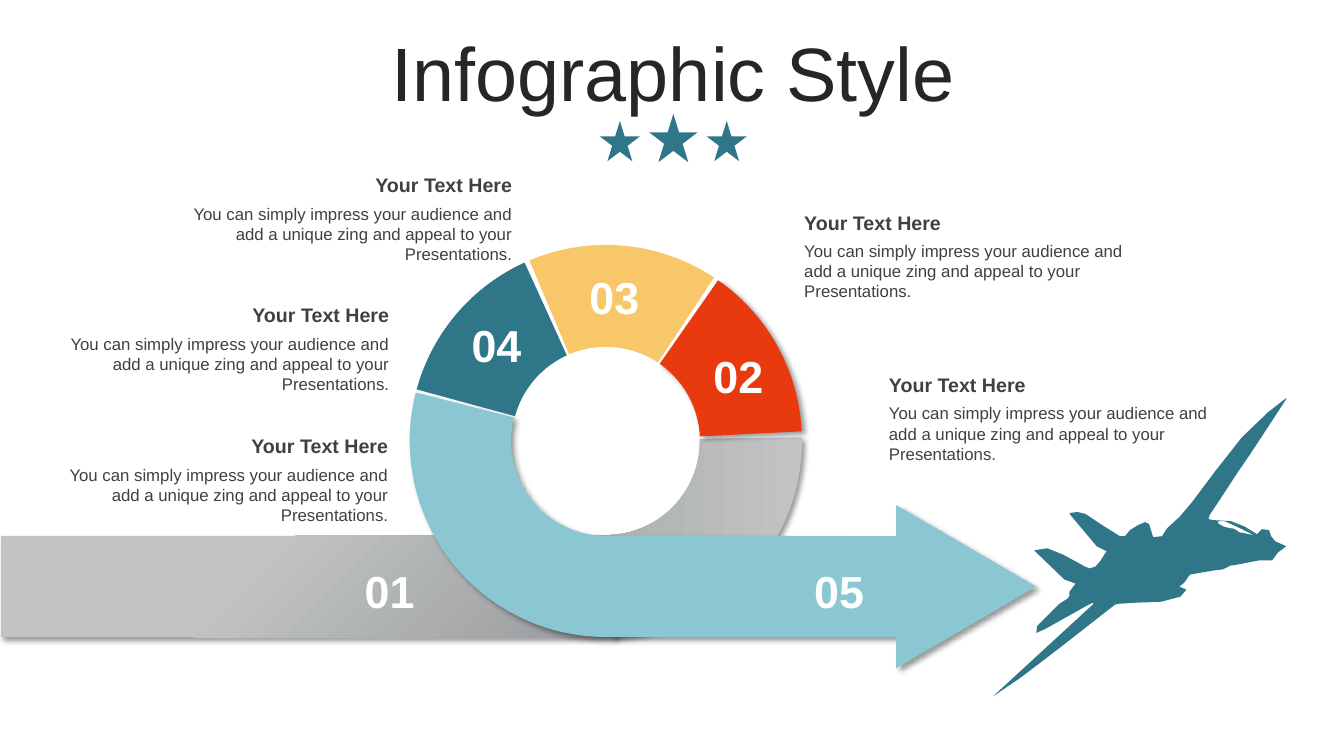
from dataclasses import dataclass
from math import cos, radians, sin

from lxml import etree
from pptx import Presentation
from pptx.dml.color import RGBColor
from pptx.enum.shapes import MSO_SHAPE
from pptx.enum.text import MSO_ANCHOR, PP_ALIGN
from pptx.oxml.ns import qn
from pptx.util import Inches, Pt

STAR, BLOCK_ARC, RECTANGLE = MSO_SHAPE.STAR_5_POINT, MSO_SHAPE.BLOCK_ARC, MSO_SHAPE.RECTANGLE
LEFT, CENTER, RIGHT = PP_ALIGN.LEFT, PP_ALIGN.CENTER, PP_ALIGN.RIGHT
TOP, MIDDLE = MSO_ANCHOR.TOP, MSO_ANCHOR.MIDDLE

COLUMNS, ROWS = 133.33, 75
CELL = Inches(0.1)
FONT = "Arial"
TEAL, YELLOW, RED, SKY = "307689", "F7C76A", "E93A0F", "8AC7D3"
LIGHT_GRAY, DARK_GRAY = "C1C3C4", "999C9E"
WHITE, TITLE_INK, BODY_INK = "FFFFFF", "262626", "404040"
HEADING = "Your Text Here"
BODY = "You can simply impress your audience and add a unique zing and appeal to your Presentations."
CALLOUT_WIDTH = 34.8
RING_X, RING_Y, RING_OUTER, RING_INNER = 60.1, 43.75, 19.45, 9.4
ARROW_ARC = 104.3
ARC_STEPS = 60

Point = tuple[float, float]
Frame = tuple[float, float, float, float]


@dataclass
class Star:
    left: float
    top: float
    size: float


@dataclass
class RingSegment:
    turn: float
    start: float
    end: float
    thickness: float
    fill: str
    shadow: bool


@dataclass
class Callout:
    edge: float
    top: float
    align: PP_ALIGN


@dataclass
class StepNumber:
    text: str
    left: float
    top: float


STARS = [Star(64.4, 11.3, 4.8), Star(70.1, 12, 4), Star(59.5, 12, 4)]
SEGMENTS = [
    RingSegment(15, 108.15, 138.31, 0.26, TEAL, False),
    RingSegment(67, 108.04, 141.9, 0.26, YELLOW, False),
    RingSegment(126, 107.35, 138.7, 0.26, RED, True),
]
RING_TAIL = RingSegment(180, 107.35, 160.74, 0.26, LIGHT_GRAY, True)
CALLOUTS = [
    Callout(51.8, 16.7, RIGHT),
    Callout(39.6, 29.6, RIGHT),
    Callout(39.5, 42.6, RIGHT),
    Callout(87.2, 36.5, LEFT),
    Callout(78.8, 20.4, LEFT),
]
NUMBERS = [
    StepNumber("01", 33.1, 55.4),
    StepNumber("02", 67.7, 34.1),
    StepNumber("03", 55.4, 26.3),
    StepNumber("04", 43.7, 31),
    StepNumber("05", 77.7, 55.4),
]
ARROW_HEAD = [(88.9, 53.2), (88.9, 50.1), (102.8, 58.2), (88.9, 66.3), (88.9, 63.2)]
CANOPY = [
    (121.5, 51.7), (123, 52.4), (124.4, 53.1), (123.9, 53), (122.9, 52.8), (122.8, 52.7),
    (122.4, 52.45), (122, 52.4), (121.4, 52.25), (120.8, 51.9), (120.9, 51.7),
]
JET = [
    (127.6, 39.5), (125.8, 40.9), (123.2, 43.4), (120.6, 46.7), (118.2, 49.9), (117, 51.3),
    (115.8, 52.4), (115.4, 53), (115.3, 53.2), (114.4, 53.3), (114, 52), (113.6, 51.8),
    (112.9, 52.1), (112.1, 52.6), (111.6, 53.2), (111.1, 53.2), (109.5, 52.2), (107.7, 51),
    (106.9, 50.8), (106.1, 50.9), (106.2, 51.1), (108.8, 54.2), (109.6, 54.6), (109.8, 54.7),
    (109.7, 54.8), (109.2, 55.6), (108.7, 56.2), (108.1, 56.4), (107.6, 56.2), (106.7, 55.7),
    (105.4, 55), (103.9, 54.4), (102.6, 54.6), (103, 55), (105.6, 57.5), (106.7, 57.9),
    (106.4, 58.3), (106.1, 58.7), (106.1, 59.1), (105.9, 59.4), (105.1, 59.9), (102.9, 62.1),
    (102.8, 62.8), (103.7, 62.4), (107.8, 60.1), (108.4, 59.8), (108.5, 59.9), (98.5, 69.1),
    (101.3, 67.2), (105.1, 64.3), (110.6, 60), (111, 59.9), (112.7, 59.8), (115.2, 59.7),
    (117.1, 59.2), (117.7, 58.5), (117, 58.2), (117.5, 57.8), (117.9, 57.2), (118.1, 57),
    (120.4, 56.6), (121.3, 56.5), (122.1, 56.1), (122.3, 56.1), (124.9, 55.6), (126.2, 55.6),
    (126.8, 54.8), (127.6, 54.2), (126.5, 53.7), (126.1, 53.2), (125.9, 52.6), (125.2, 52.5),
    (124.7, 53), (123.5, 52.25), (122.1, 51.7), (120.3, 51.6), (119.9, 51.5), (120, 51.1),
    (121, 49.6), (122.7, 47), (124, 45.1), (126.1, 41.9), (127.6, 39.6),
]


def grid(cells: float) -> int:
    return round(cells * CELL)


def color(value: str) -> RGBColor:
    return RGBColor.from_string(value)


def add_shadow(shape) -> None:
    effects = shape.element.spPr.find(qn("a:effectLst"))
    outer = etree.SubElement(effects, qn("a:outerShdw"), blurRad=str(Pt(4)),
                             dist=str(Pt(3)), dir="2700000", algn="tl", rotWithShape="0")
    ink = etree.SubElement(outer, qn("a:srgbClr"), val="000000")
    etree.SubElement(ink, qn("a:alpha"), val="40000")


def finish(shape, fill: str, shadow: bool = False) -> None:
    shape.fill.solid()
    shape.fill.fore_color.rgb = color(fill)
    shape.line.fill.background()
    shape.shadow.inherit = False
    if shadow:
        add_shadow(shape)


def shade(shape, angle: float, start: float) -> None:
    shape.fill.gradient()
    shape.fill.gradient_angle = angle
    stops = zip(shape.fill.gradient_stops, (LIGHT_GRAY, DARK_GRAY), (start, 1))
    for stop, tone, position in stops:
        stop.color.rgb = color(tone)
        stop.position = position


def add_preset(page, kind: MSO_SHAPE, frame: Frame, fill: str, turn: float = 0, shadow: bool = False):
    shape = page.shapes.add_shape(kind, *map(grid, frame))
    shape.rotation = turn
    finish(shape, fill, shadow)
    return shape


def add_segment(page, segment: RingSegment):
    size = 2 * RING_OUTER
    frame = (RING_X - RING_OUTER, RING_Y - RING_OUTER, size, size)
    shape = add_preset(page, BLOCK_ARC, frame, segment.fill, segment.turn, segment.shadow)
    for index, value in enumerate((segment.start, segment.end, segment.thickness)):
        shape.adjustments[index] = value
    return shape


def add_outline(page, contours: list[list[Point]], fill: str, shadow: bool = False) -> None:
    paths = [[(grid(x), grid(y)) for x, y in contour] for contour in contours]
    builder = page.shapes.build_freeform(*paths[0][0], scale=1.0)
    builder.add_line_segments(paths[0][1:], close=True)
    for points in paths[1:]:
        builder.move_to(*points[0])
        builder.add_line_segments(points[1:], close=True)
    finish(builder.convert_to_shape(), fill, shadow)


def ring_arc(radius: float) -> list[Point]:
    angles = [radians(90 + ARROW_ARC * step / ARC_STEPS) for step in range(ARC_STEPS + 1)]
    return [(RING_X + radius * cos(angle), RING_Y + radius * sin(angle)) for angle in angles]


def add_text(page, text: str, frame: Frame, *, size: float, ink: str, bold: bool = False,
             align: PP_ALIGN = LEFT, anchor: MSO_ANCHOR = TOP, spacing: float = 1.0) -> None:
    box = page.shapes.add_textbox(*map(grid, frame))
    box.text_frame.word_wrap = True
    box.text_frame.vertical_anchor = anchor
    para = box.text_frame.paragraphs[0]
    para.alignment = align
    para.line_spacing = spacing
    span = para.add_run()
    span.text = text
    span.font.name = FONT
    span.font.size = Pt(size)
    span.font.bold = bold
    span.font.color.rgb = color(ink)


def add_callout(page, callout: Callout) -> None:
    left = callout.edge - CALLOUT_WIDTH if callout.align == RIGHT else callout.edge
    add_text(page, BODY, (left, callout.top + 3, CALLOUT_WIDTH, 7.1),
             size=12, ink=BODY_INK, align=callout.align)
    add_text(page, HEADING, (left, callout.top, CALLOUT_WIDTH, 3.4),
             size=14, ink=BODY_INK, bold=True, align=callout.align)


def main() -> None:
    deck = Presentation()
    deck.slide_width, deck.slide_height = grid(COLUMNS), grid(ROWS)
    page = deck.slides.add_slide(deck.slide_layouts[6])
    for star in STARS:
        add_preset(page, STAR, (star.left, star.top, star.size, star.size), TEAL)
    shade(add_segment(page, RING_TAIL), 0, 0)
    band = add_preset(page, RECTANGLE, (25.5, 27.7, 10.1, 61), LIGHT_GRAY, 90, True)
    shade(band, 45, 0.38)
    arrow = ring_arc(RING_OUTER) + ring_arc(RING_INNER)[::-1] + ARROW_HEAD
    add_outline(page, [arrow], SKY, True)
    for segment in SEGMENTS:
        add_segment(page, segment)
    for callout in CALLOUTS:
        add_callout(page, callout)
    for number in NUMBERS:
        add_text(page, number.text, (number.left, number.top, 11.1, 6.4),
                 size=32, ink=WHITE, bold=True, align=CENTER)
    add_outline(page, [JET, CANOPY], TEAL)
    add_text(page, "Infographic Style", (3.5, 3.7, 126.6, 7.9), size=54, ink=TITLE_INK,
             align=CENTER, anchor=MIDDLE, spacing=0.9)
    deck.save("out.pptx")


if __name__ == "__main__":
    main()
